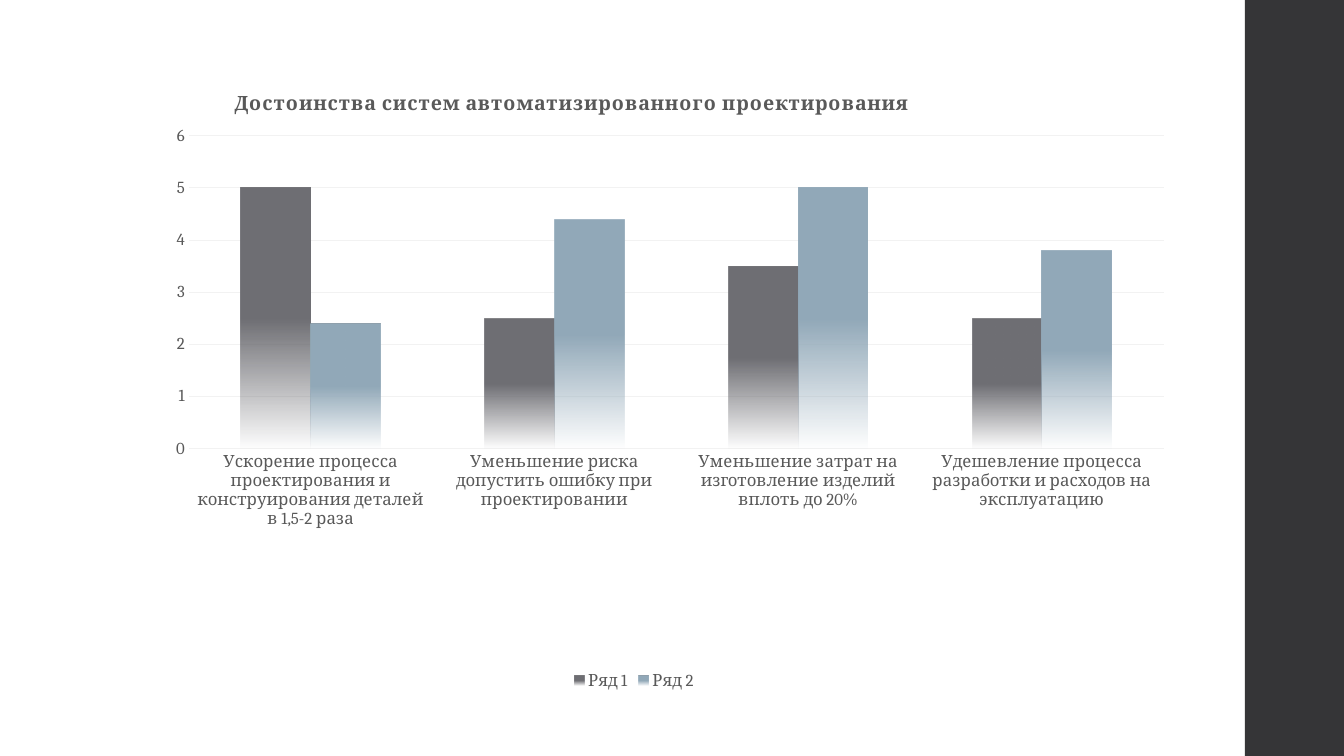
from lxml.etree import SubElement
from pptx import Presentation
from pptx.chart.data import CategoryChartData
from pptx.dml.color import RGBColor
from pptx.enum.chart import XL_CHART_TYPE, XL_LEGEND_POSITION, XL_TICK_MARK
from pptx.enum.shapes import MSO_SHAPE
from pptx.oxml.ns import qn
from pptx.util import Cm, Pt

TITLE = "Достоинства систем автоматизированного проектирования"
CATS = [
    "Ускорение процесса проектирования и конструирования деталей в 1,5-2 раза",
    "Уменьшение риска допустить ошибку при проектировании",
    "Уменьшение затрат на изготовление изделий вплоть до 20%",
    "Удешевление процесса разработки и расходов на эксплуатацию",
]
DARK = RGBColor(0x35, 0x35, 0x37)
TEXT = RGBColor(0x59, 0x59, 0x59)
GRID = RGBColor(0xF2, 0xF2, 0xF2)
GRAY = RGBColor(0x6F, 0x6F, 0x74)
BLUE = RGBColor(0x92, 0xA9, 0xB9)
SERIES = [
    ("Ряд 1", (5, 2.5, 3.5, 2.5), GRAY),
    ("Ряд 2", (2.4, 4.4, 5, 3.8), BLUE),
]


def style(font, size=12, bold=False):
    font.name = "Cambria"
    font.size = Pt(size)
    font.bold = bold
    font.color.rgb = TEXT


def write(frame, text, **form):
    run = frame.paragraphs[0].add_run()
    run.text = text
    style(run.font, **form)
    return run


def place(part, **spots):
    """Pin a chart part at fractions of the chart's size."""
    box = part.find(qn("c:layout"))
    if box is None:
        box = SubElement(part, qn("c:layout"))
        after = part.find(qn("c:tx"))
        if after is None:
            part.insert(0, box)
        else:
            after.addnext(box)
    manual = SubElement(box, qn("c:manualLayout"))
    if "w" in spots:
        SubElement(manual, qn("c:layoutTarget")).set("val", "inner")
    for key in ("x", "y"):
        SubElement(manual, qn(f"c:{key}Mode")).set("val", "edge")
    for key, value in spots.items():
        SubElement(manual, qn(f"c:{key}")).set("val", str(value))


def fade(series, color):
    """Fill the bars with a colour that turns clear from the middle down."""
    fill = series.format.fill
    fill.gradient()
    fill.gradient_angle = 270
    for stop, spot in zip(fill.gradient_stops, (0.5, 1)):
        stop.color.rgb = color
        stop.position = spot
    last = series._element.xpath("c:spPr/a:gradFill/a:gsLst/a:gs/a:srgbClr")[-1]
    SubElement(last, qn("a:alpha")).set("val", "0")


def main():
    deck = Presentation()
    deck.slide_width, deck.slide_height = Cm(33.87), Cm(19.05)
    slide = deck.slides.add_slide(deck.slide_layouts[6])

    band = slide.shapes.add_shape(
        MSO_SHAPE.RECTANGLE, Cm(31.37), 0, Cm(2.5), deck.slide_height)
    band.shadow.inherit = False
    band.fill.solid()
    band.fill.fore_color.rgb = DARK
    band.line.fill.background()

    data = CategoryChartData()
    data.categories = CATS
    for name, values, _ in SERIES:
        data.add_series(name, values)
    chart = slide.shapes.add_chart(
        XL_CHART_TYPE.COLUMN_CLUSTERED,
        Cm(2.62), Cm(2.03), Cm(26.72), Cm(15.47), data).chart
    style(chart.font)

    run = write(chart.chart_title.text_frame, TITLE, size=14, bold=True)
    run.font._element.set("spc", "50")
    chart.chart_title.include_in_layout = False
    place(chart.chart_title._element, x=0.12, y=0.01)

    chart.has_legend = True
    chart.legend.position = XL_LEGEND_POSITION.BOTTOM
    chart.legend.include_in_layout = False
    style(chart.legend.font)

    for axis in (chart.category_axis, chart.value_axis):
        axis.major_tick_mark = axis.minor_tick_mark = XL_TICK_MARK.NONE
        axis.format.line.fill.background()
        style(axis.tick_labels.font)
    scale = chart.value_axis
    scale.minimum_scale, scale.maximum_scale, scale.major_unit = 0, 6, 1
    lines = scale.major_gridlines.format.line
    lines.color.rgb = GRID
    lines.width = Pt(0.75)

    plot = chart.plots[0]
    plot.gap_width = 150
    plot.overlap = 0
    plot.vary_by_categories = False
    for series, (_, _, color) in zip(plot.series, SERIES):
        fade(series, color)
    place(plot._element.getparent(), x=0.08, y=0.09, w=0.92, h=0.51)

    deck.save("out.pptx")


if __name__ == "__main__":
    main()
